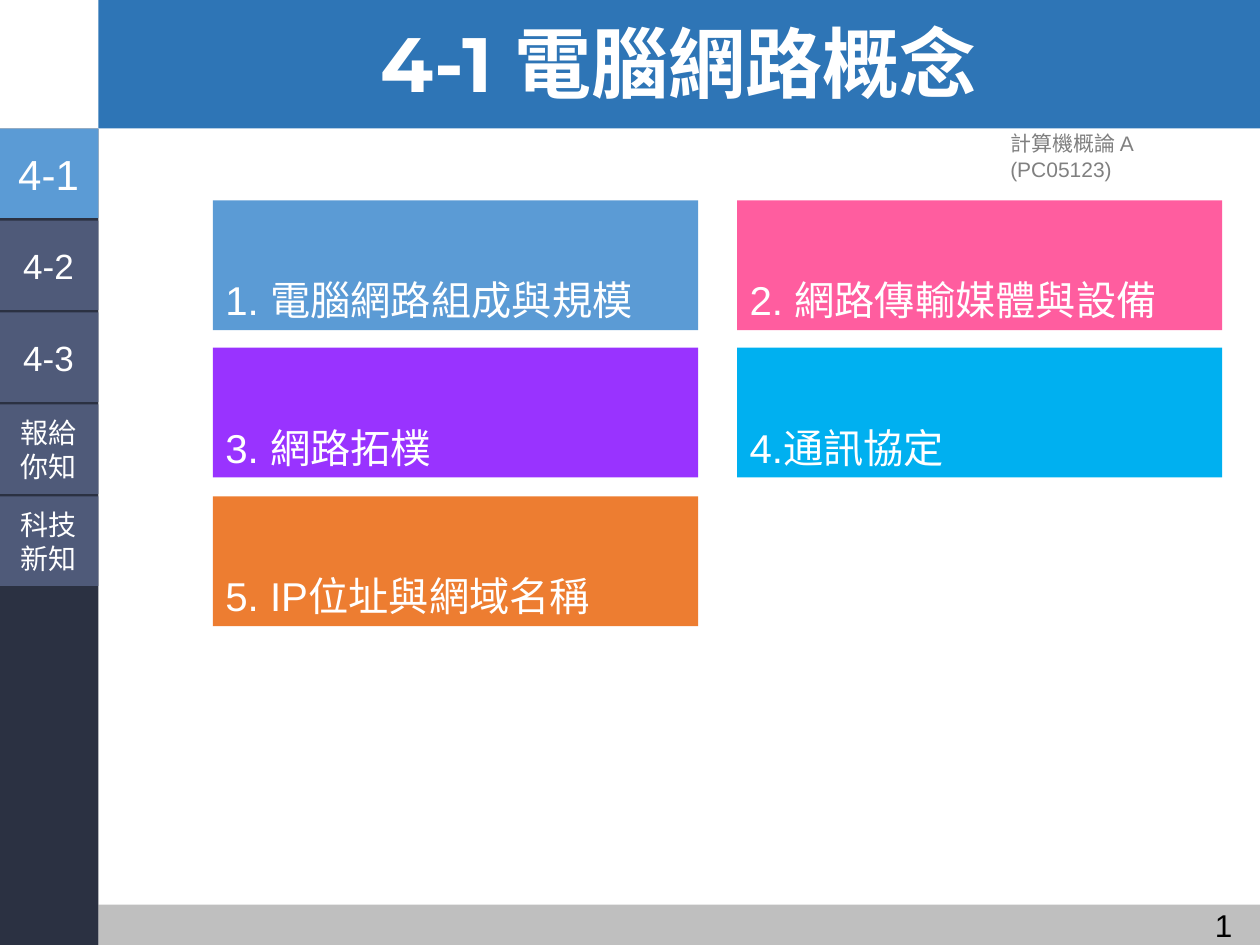
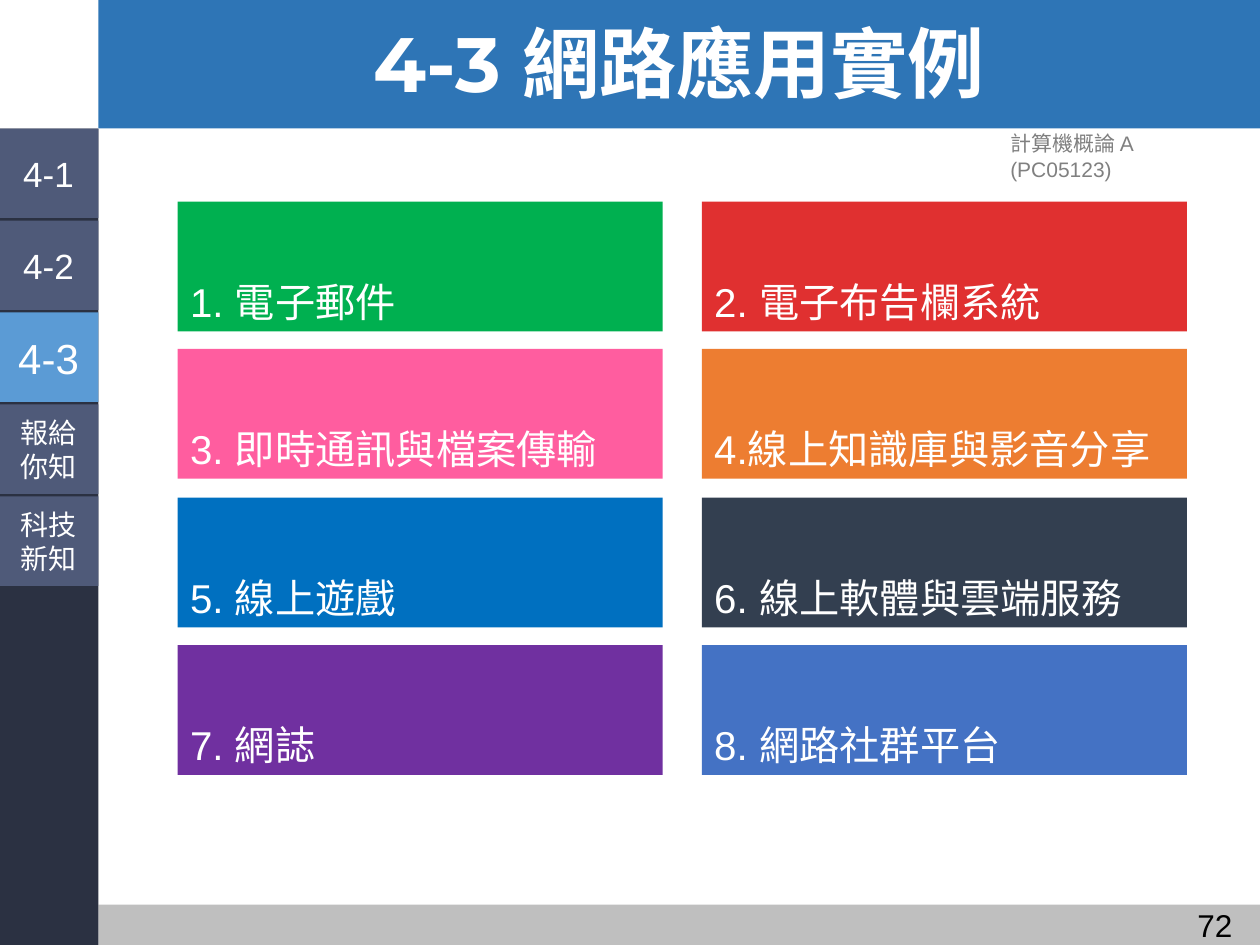
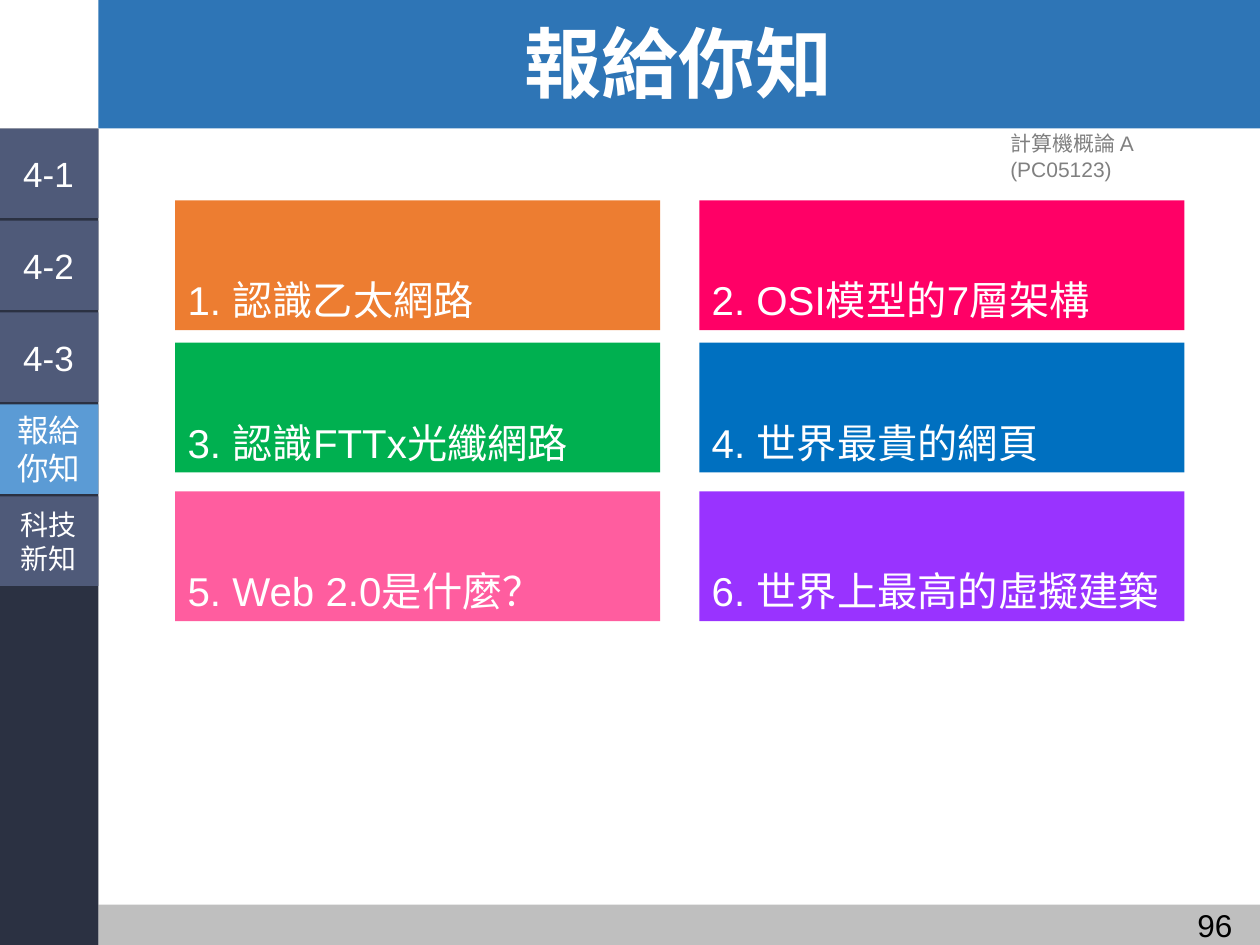
from pptx import Presentation
from pptx.dml.color import RGBColor
from pptx.enum.shapes import MSO_SHAPE
from pptx.enum.text import MSO_ANCHOR, MSO_AUTO_SIZE, PP_ALIGN
from pptx.util import Inches, Pt

RECTANGLE = MSO_SHAPE.RECTANGLE
TOP, MIDDLE, BOTTOM = MSO_ANCHOR.TOP, MSO_ANCHOR.MIDDLE, MSO_ANCHOR.BOTTOM
LEFT, CENTER, RIGHT = PP_ALIGN.LEFT, PP_ALIGN.CENTER, PP_ALIGN.RIGHT

WHITE = RGBColor(0xFF, 0xFF, 0xFF)
BLACK = RGBColor(0x00, 0x00, 0x00)
GRAY = RGBColor(0x80, 0x80, 0x80)
SILVER = RGBColor(0xBF, 0xBF, 0xBF)
HEADER_BLUE = RGBColor(0x2E, 0x75, 0xB6)
NAVY = RGBColor(0x2B, 0x31, 0x42)
SLATE = RGBColor(0x4F, 0x5A, 0x79)
SKY = RGBColor(0x5B, 0x9B, 0xD5)
PINK = RGBColor(0xFF, 0x5D, 0x9F)
MAGENTA = RGBColor(0xFF, 0x00, 0x66)
VIOLET = RGBColor(0x99, 0x33, 0xFF)
PURPLE = RGBColor(0x70, 0x30, 0xA0)
CYAN = RGBColor(0x00, 0xB0, 0xF0)
BLUE = RGBColor(0x00, 0x70, 0xC0)
ROYAL = RGBColor(0x44, 0x72, 0xC4)
ORANGE = RGBColor(0xED, 0x7D, 0x31)
GREEN = RGBColor(0x00, 0xB0, 0x50)
RED = RGBColor(0xE0, 0x30, 0x30)
CHARCOAL = RGBColor(0x33, 0x3F, 0x50)

BODY_FONT, TITLE_FONT = "Arial", "Montserrat"
COURSE = "計算機概論 A (PC05123)"

# Tab lines, size when idle, size when active
TABS = [
    (["4-1"], 20, 24),
    (["4-2"], 20, 24),
    (["4-3"], 20, 24),
    (["報給", "你知"], 16, 18),
    (["科技", "新知"], 16, 18),
]

# Cards run left to right, then down
SLIDES = [
    {"title": "4-1 電腦網路概念", "number": "1", "active": 0,
     "left": 1.69, "rows": (1.59, 2.76, 3.94),
     "cards": [("1. 電腦網路組成與規模", SKY), ("2. 網路傳輸媒體與設備", PINK),
               ("3. 網路拓樸", VIOLET), ("4.通訊協定", CYAN),
               ("5. IP位址與網域名稱", ORANGE)]},
    {"title": "4-3 網路應用實例", "number": "72", "active": 2,
     "left": 1.41, "rows": (1.6, 2.77, 3.95, 5.12),
     "cards": [("1. 電子郵件", GREEN), ("2. 電子布告欄系統", RED),
               ("3. 即時通訊與檔案傳輸", PINK), ("4.線上知識庫與影音分享", ORANGE),
               ("5. 線上遊戲", BLUE), ("6. 線上軟體與雲端服務", CHARCOAL),
               ("7. 網誌", PURPLE), ("8. 網路社群平台", ROYAL)]},
    {"title": "報給你知", "number": "96", "active": 3,
     "left": 1.39, "rows": (1.59, 2.72, 3.9),
     "cards": [("1. 認識乙太網路", ORANGE), ("2. OSI模型的7層架構", MAGENTA),
               ("3. 認識FTTx光纖網路", GREEN), ("4. 世界最貴的網頁", BLUE),
               ("5. Web 2.0是什麼？", PINK), ("6. 世界上最高的虛擬建築", VIOLET)]},
]

WIDTH, HEIGHT = 10, 7.5
SIDE_LEFT, SIDE_WIDTH = -0.01, 0.79
MAIN_LEFT = SIDE_LEFT + SIDE_WIDTH
MAIN_WIDTH = WIDTH - MAIN_LEFT
HEADER_HEIGHT, FOOTER_HEIGHT = 1.02, 0.32
TAB_HEIGHT, TAB_PITCH = 0.71, 0.73
CARD_WIDTH, CARD_HEIGHT, COLUMN_PITCH = 3.85, 1.03, 4.16


def add_box(slide, left, top, width, height, fill):
    box = slide.shapes.add_shape(
        RECTANGLE, Inches(left), Inches(top), Inches(width), Inches(height))
    box.shadow.inherit = False
    box.fill.solid()
    box.fill.fore_color.rgb = fill
    box.line.fill.background()
    return box


def add_text_box(slide, left, top, width, height):
    return slide.shapes.add_textbox(
        Inches(left), Inches(top), Inches(width), Inches(height))


def write(shape, lines, size, color=WHITE, align=LEFT, anchor=TOP,
          font=BODY_FONT, bold=False, wrap=True):
    frame = shape.text_frame
    frame.word_wrap = wrap
    frame.auto_size = MSO_AUTO_SIZE.NONE
    frame.vertical_anchor = anchor
    for index, line in enumerate(lines):
        paragraph = frame.add_paragraph() if index else frame.paragraphs[0]
        paragraph.alignment = align
        run = paragraph.add_run()
        run.text = line
        run.font.size = Pt(size)
        run.font.name = font
        run.font.bold = bold
        run.font.color.rgb = color
    return frame


def move_frame_to_layout(slide, layout):
    """Draw the shared bands and course label, then hand them to the layout."""
    label = add_text_box(slide, 7.92, 0.99, 2.04, 0.3)
    write(label, [COURSE], 12, GRAY).margin_right = Inches(0.2)
    parts = [
        add_box(slide, MAIN_LEFT, 0, MAIN_WIDTH, HEADER_HEIGHT, HEADER_BLUE),
        add_box(slide, MAIN_LEFT, HEIGHT - FOOTER_HEIGHT, MAIN_WIDTH,
                FOOTER_HEIGHT, SILVER),
        label,
        add_box(slide, SIDE_LEFT, HEADER_HEIGHT, SIDE_WIDTH,
                HEIGHT - HEADER_HEIGHT, NAVY),
    ]
    for shape_id, part in enumerate(parts, start=20):
        part.element.nvSpPr.cNvPr.set("id", str(shape_id))
        layout.shapes.element.append(part.element)


def add_title(slide, text):
    title = slide.shapes.title
    title.left, title.top = Inches(MAIN_LEFT), Inches(0.03)
    title.width, title.height = Inches(MAIN_WIDTH), Inches(HEADER_HEIGHT)
    frame = write(title, [text], 44, align=CENTER, anchor=MIDDLE,
                  font=TITLE_FONT, bold=True)
    frame.paragraphs[0].line_spacing = 0.9


def add_tabs(slide, active):
    for index, (lines, idle_size, active_size) in enumerate(TABS):
        is_active = index == active
        tab = add_box(slide, SIDE_LEFT, HEADER_HEIGHT + index * TAB_PITCH,
                      SIDE_WIDTH, TAB_HEIGHT, SKY if is_active else SLATE)
        frame = write(tab, lines, active_size if is_active else idle_size,
                      align=CENTER, anchor=MIDDLE, wrap=False)
        frame.margin_left = frame.margin_right = Inches(0.04)
        frame.margin_top = frame.margin_bottom = Inches(0.04)


def add_cards(slide, cards, left, rows):
    for index, (text, color) in enumerate(cards):
        row, column = divmod(index, 2)
        card = add_box(slide, left + column * COLUMN_PITCH, rows[row],
                       CARD_WIDTH, CARD_HEIGHT, color)
        write(card, [text], 23, anchor=BOTTOM)


def main():
    presentation = Presentation()
    presentation.slide_width = Inches(WIDTH)
    presentation.slide_height = Inches(HEIGHT)
    layout = presentation.slide_layouts.get_by_name("Title Only")
    for index, content in enumerate(SLIDES):
        slide = presentation.slides.add_slide(layout)
        if index == 0:
            move_frame_to_layout(slide, layout)
        add_title(slide, content["title"])
        number = add_text_box(slide, 8.82, 7.14, 1.06, 0.4)
        write(number, [content["number"]], 18, BLACK, RIGHT)
        add_tabs(slide, content["active"])
        add_cards(slide, content["cards"], content["left"], content["rows"])
    presentation.save("out.pptx")


if __name__ == "__main__":
    main()
